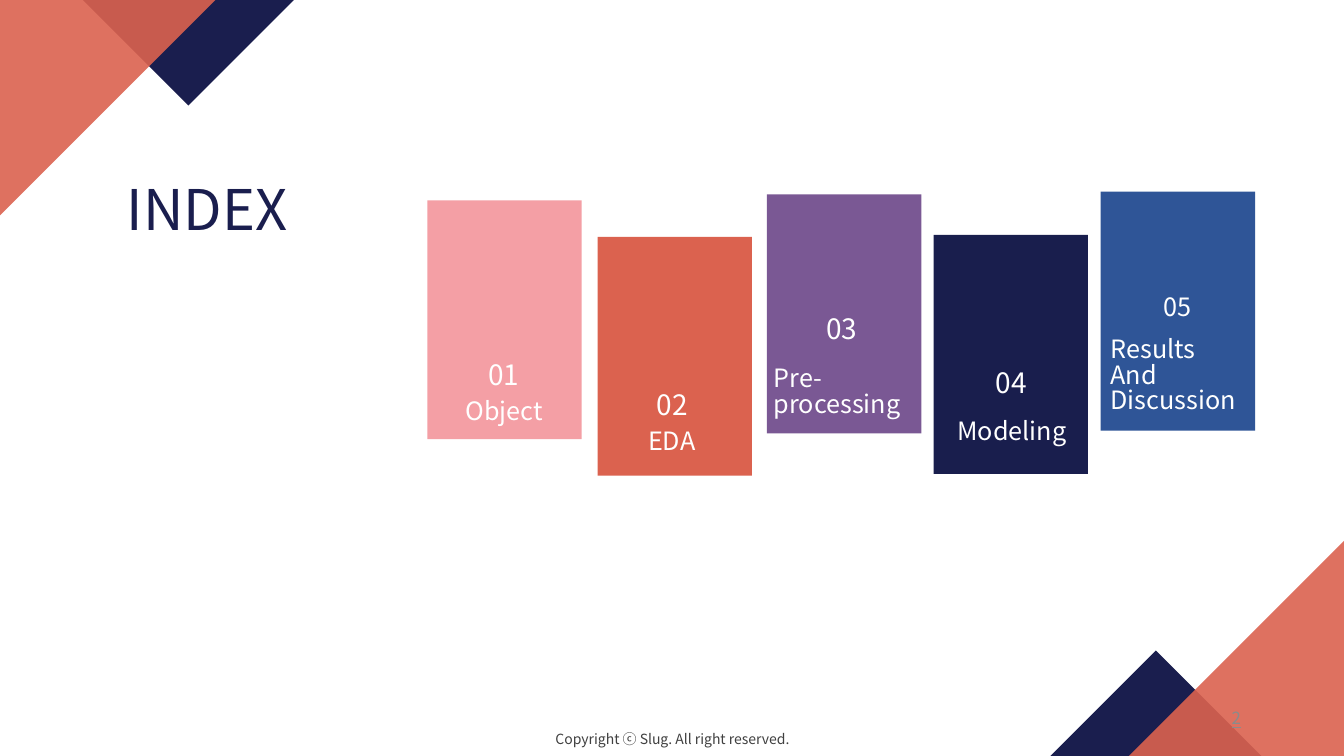
import pptx
import pptx.util
import pptx.dml.color
import pptx.enum.shapes
import pptx.enum.text
import pptx.oxml
from pptx.oxml.ns import nsdecls

Cm, Pt = pptx.util.Cm, pptx.util.Pt
RGB = pptx.dml.color.RGBColor
Kind = pptx.enum.shapes.MSO_SHAPE
Align = pptx.enum.text.PP_ALIGN
Anchor = pptx.enum.text.MSO_ANCHOR

FONT = "Noto Sans CJK KR"
HUES = {
    "white": "FFFFFF", "ink": "404040", "gray": "8B8B8B", "title": "1A1E4E",
    "pink": "F49FA5", "coral": "DB624F", "plum": "7A5894",
    "navy": "191E4D", "blue": "2F5597",
}

deck = pptx.Presentation()
deck.slide_width, deck.slide_height = Cm(33.87), Cm(19.05)
slide = deck.slides.add_slide(deck.slide_layouts[6])


def block(kind, box, hue, turn=0, alpha=None):
    """Add a borderless filled shape; alpha is its opacity in percent."""
    shape = slide.shapes.add_shape(kind, *map(Cm, box))
    shape.shadow.inherit = False
    shape.fill.solid()
    shape.fill.fore_color.rgb = RGB.from_string(HUES[hue])
    shape.line.fill.background()
    shape.rotation = turn
    if alpha:
        tone = shape.fill._xPr.find(".//" + pptx.oxml.ns.qn("a:srgbClr"))
        tone.append(pptx.oxml.parse_xml(
            f'<a:alpha {nsdecls("a")} val="{alpha * 1000}"/>'))
    return shape


def write(text, box, size=18, hue="white", align=Align.LEFT,
          anchor=Anchor.TOP, line=False):
    """Add a text box with one paragraph for each line of text."""
    frame = slide.shapes.add_textbox(*map(Cm, box)).text_frame
    frame.word_wrap = True
    frame.vertical_anchor = anchor
    frame.text = text
    for para in frame.paragraphs:
        para.alignment = align
        para.line_spacing = 0.84
        font = para.runs[0].font
        font.name, font.size, font.underline = FONT, Pt(size), line
        font.color.rgb = RGB.from_string(HUES[hue])


write("Copyright ⓒ Slug. All right reserved.", (12.45, 18.34, 8.99, 0.69),
      size=10, hue="ink", align=Align.CENTER)
write("INDEX", (2.95, 4.55, 4.98, 1.96), size=40, hue="title")

# Card: left, top, colour; number: left, top, size; label: box, alignment
cards = [
    (10.77, 5.05, "pink", "01", 12.04, 9.02, 20,
     "Object", (11.48, 9.96, 3.84, 1.02), Align.LEFT),
    (15.06, 5.97, "coral", "02", 16.28, 9.78, 20,
     "EDA", (15.01, 10.72, 3.84, 1.02), Align.CENTER),
    (19.33, 4.9, "plum", "03", 20.55, 7.87, 20,
     "Pre-\nprocessing", (19.25, 9.14, 4.75, 1.8), Align.LEFT),
    (23.53, 5.92, "navy", "04", 24.82, 9.22, 20,
     "Modeling", (23.88, 10.46, 3.84, 1.02), Align.LEFT),
    (27.74, 4.83, "blue", "05", 29.02, 7.33, 18,
     "Results\nAnd\nDiscussion", (27.74, 8.41, 3.84, 2.57), Align.LEFT),
]
for left, top, hue, num, x, y, size, label, box, align in cards:
    block(Kind.RECTANGLE, (left, top, 3.89, 6.02), hue)
    write(num, (x, y, 1.32, 1.12), size=size, align=Align.CENTER)
    write(label, box, align=align)

# Corner triangles: small navy one below, large coral one above
for small, large, turn in [((2.87, -1.88), (0, 0), 0),
                           ((27.25, 17.17), (28.44, 13.63), 180)]:
    block(Kind.RIGHT_TRIANGLE, (*small, 3.76, 3.76), "title",
          turn=(315 + turn) % 360)
    block(Kind.RIGHT_TRIANGLE, (*large, 5.43, 5.43), "coral",
          turn=90 + turn, alpha=90)

write("2", (29.5, 17.63, 2.02, 1.01), size=12, hue="gray",
      align=Align.RIGHT, anchor=Anchor.MIDDLE, line=True)

deck.save("out.pptx")
